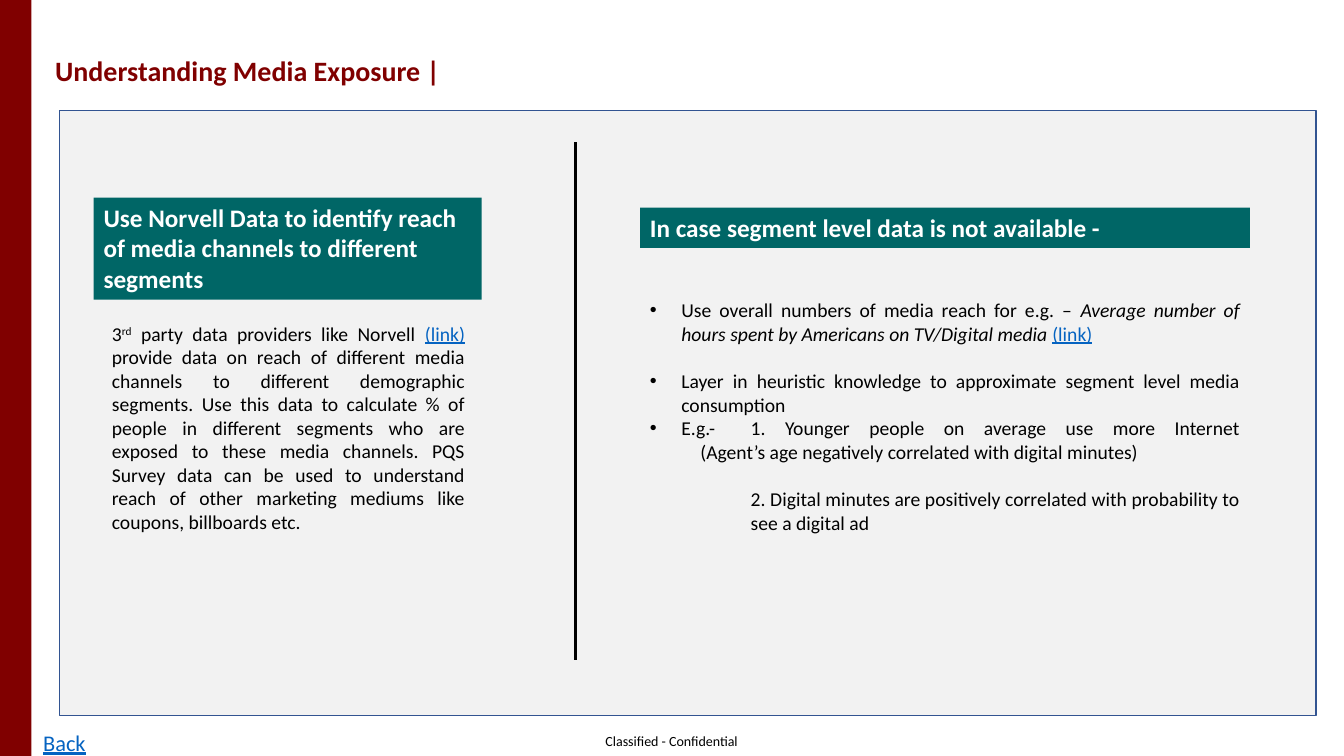
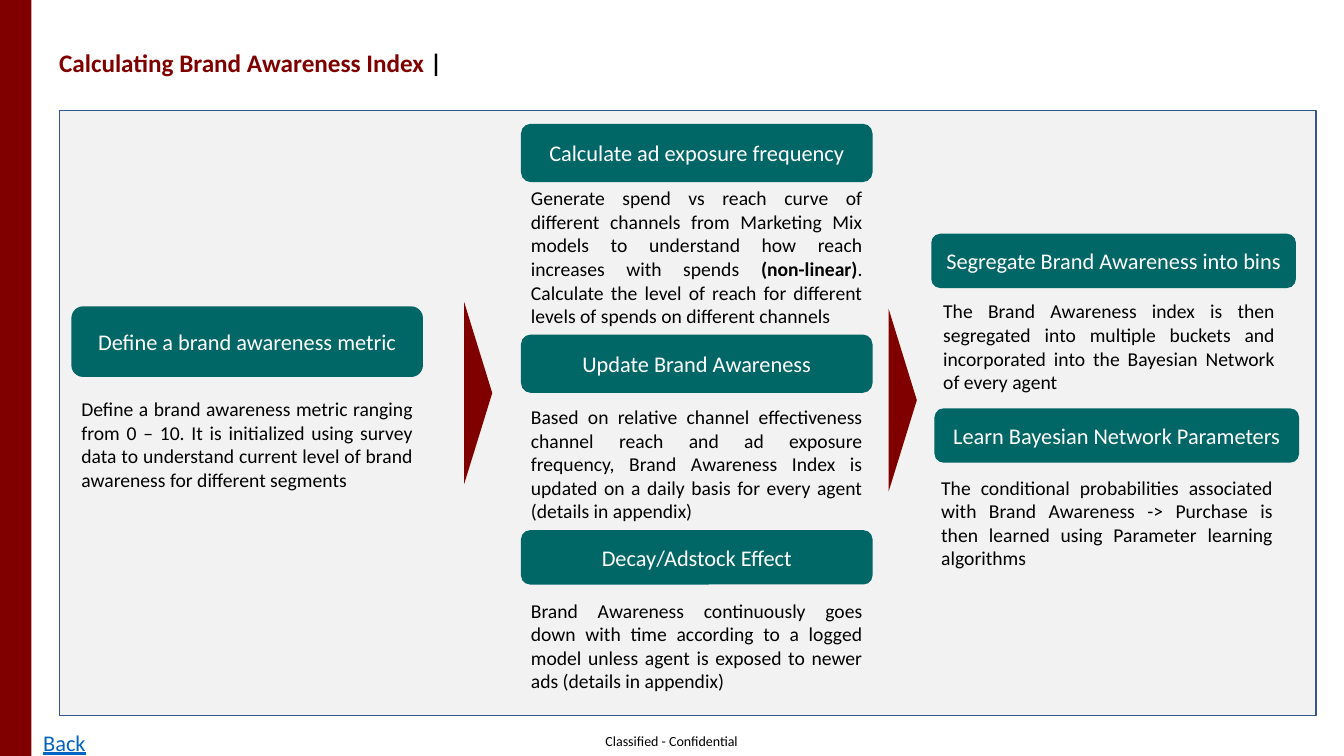
"""Builds two slides on media exposure and brand awareness."""
from typing import NamedTuple

from lxml.etree import SubElement as Sub
from pptx import Presentation
from pptx.dml.color import RGBColor
from pptx.enum.shapes import MSO_CONNECTOR as Link, MSO_SHAPE as Form
from pptx.enum.text import MSO_ANCHOR as Anchor, PP_ALIGN as Align
from pptx.oxml.ns import qn
from pptx.slide import Slide
from pptx.util import Cm, Pt

FONT = "Calibri"
MAROON = RGBColor(0x80, 0x00, 0x00)
TEAL = RGBColor(0x00, 0x66, 0x66)
GREY = RGBColor(0xF2, 0xF2, 0xF2)
EDGE = RGBColor(0x32, 0x54, 0x91)
BLUE = RGBColor(0x05, 0x63, 0xC1)
BLACK = RGBColor(0x00, 0x00, 0x00)
WHITE = RGBColor(0xFF, 0xFF, 0xFF)
BREAK = "\n"


class Box(NamedTuple):
    left: float
    top: float
    width: float
    height: float


class Span(NamedTuple):
    text: str
    bold: bool = False
    slant: bool = False
    link: bool = False
    raised: bool = False
    color: RGBColor | None = None


class Para(NamedTuple):
    spans: list[Span]
    size: float = 14
    color: RGBColor = BLACK
    bold: bool = False
    align: Align = Align.JUSTIFY
    dot: bool = False
    indent: float = 0
    before: float = 0


class Card(NamedTuple):
    head: str
    bar: Box
    spans: list[Span]
    body: Box


PANEL = Box(1.5, 2.78, 31.67, 15.25)
MID, WIDE = 13.13, 8.86
HANG, DEEP, GAP = 0.79, 2.54, 17

LEFT_BODY = [
    Span("3"), Span("rd", raised=True),
    Span(" party data providers like Norvell "), Span("(link)", link=True),
    Span(" provide data on reach of different media channels to different "
         "demographic segments. Use this data to calculate % of people in "
         "different segments who are exposed to these media channels. PQS "
         "Survey data can be used to understand reach of other marketing "
         "mediums like coupons, billboards etc."),
]
POINTS = [
    Para([Span("Use overall numbers of media reach for e.g. – "),
          Span("Average number of hours spent by Americans on TV/Digital "
               "media ", slant=True),
          Span("(link)", link=True)], dot=True),
    Para([Span("Layer in heuristic knowledge to approximate segment level "
               "media consumption")], dot=True, before=GAP),
    Para([Span("E.g.-\t1. Younger people on average use more Internet"),
          Span(BREAK),
          Span("\t(Agent’s age negatively correlated with digital minutes)")],
         dot=True),
    Para([Span("2. Digital minutes are positively correlated with "
               "probability to see a digital ad")],
         indent=DEEP, before=GAP),
]
CARDS = [
    Card("Define a brand awareness metric", Box(1.8, 7.72, WIDE, 1.78),
         [Span("Define a brand awareness metric ranging from 0 – 10. It is "
               "initialized using survey data to understand current level of "
               "brand awareness for different segments")],
         Box(1.8, 9.88, WIDE, 2.64)),
    Card("Calculate ad exposure frequency", Box(MID, 3.12, WIDE, 1.47),
         [Span("Generate spend vs reach curve of different channels from "
               "Marketing Mix models to understand how reach increases with "
               "spends "),
          Span("(non-linear)", bold=True),
          Span(". Calculate the level of reach for different levels of "
               "spends on different channels")],
         Box(MID, 4.57, WIDE, 3.83)),
    Card("Update Brand Awareness", Box(MID, 8.43, WIDE, 1.47),
         [Span("Based on relative channel effectiveness channel reach and ad "
               "exposure frequency, Brand Awareness Index is updated on a "
               "daily basis for every agent (details in appendix)")],
         Box(MID, 10.08, WIDE, 3.25)),
    Card("Decay/Adstock Effect", Box(MID, 13.36, WIDE, 1.37),
         [Span("Brand Awareness continuously goes down with time according "
               "to a logged model unless agent is exposed to newer ads "
               "(details in appendix)")],
         Box(MID, 14.96, WIDE, 2.64)),
    Card("Segregate Brand Awareness into bins", Box(23.47, 5.89, 9.19, 1.37),
         [Span("The Brand Awareness index is then segregated into multiple "
               "buckets and incorporated into the Bayesian Network of every "
               "agent")],
         Box(23.52, 7.42, WIDE, 2.64)),
    Card("Learn Bayesian Network Parameters", Box(23.55, 10.29, 9.19, 1.37),
         [Span("The conditional probabilities associated with Brand "
               "Awareness -> Purchase is then learned using Parameter "
               "learning algorithms")],
         Box(23.47, 11.86, WIDE, 2.64)),
]
WEDGES = [Box(9.75, 9.55, 4.6, 0.71), Box(20.45, 9.73, 4.6, 0.71)]


def place(box: Box) -> list[Cm]:
    return [Cm(side) for side in box]


def write(frame, paras: list[Para], anchor: Anchor = Anchor.TOP) -> None:
    frame.word_wrap = True
    frame.vertical_anchor = anchor
    for spot, para in enumerate(paras):
        line = frame.add_paragraph() if spot else frame.paragraphs[0]
        line.alignment = para.align
        if para.before:
            line.space_before = Pt(para.before)
        props = line._p.get_or_add_pPr()
        if para.dot:
            props.set("marL", str(Cm(HANG)))
            props.set("indent", str(-Cm(HANG)))
            Sub(props, qn("a:buFont"), typeface="Arial")
            Sub(props, qn("a:buChar"), char="•")
        elif para.indent:
            props.set("marL", str(Cm(para.indent)))
        font = line.font
        font.name, font.size, font.bold = FONT, Pt(para.size), para.bold
        font.color.rgb = para.color
        for span in para.spans:
            if span.text == BREAK:
                line.add_line_break()
                continue
            run = line.add_run()
            run.text = span.text
            if span.bold:
                run.font.bold = True
            if span.slant:
                run.font.italic = True
            if span.link:
                run.font.underline = True
            if span.raised:
                run._r.get_or_add_rPr().set("baseline", "30000")
            tint = BLUE if span.link else span.color
            if tint is not None:
                run.font.color.rgb = tint


def add_text(slide: Slide, box: Box, paras: list[Para]):
    frame = slide.shapes.add_textbox(*place(box)).text_frame
    write(frame, paras)
    return frame


def add_form(slide: Slide, form: Form, box: Box, fill: RGBColor,
             edge: RGBColor | None = None):
    shape = slide.shapes.add_shape(form, *place(box))
    shape.shadow.inherit = False
    shape.fill.solid()
    shape.fill.fore_color.rgb = fill
    if edge is None:
        shape.line.fill.background()
    else:
        shape.line.color.rgb = edge
        shape.line.width = Pt(1)
    return shape


def add_frame(deck, box: Box, size: float, title: list[Span]) -> Slide:
    slide = deck.slides.add_slide(deck.slide_layouts[6])
    foot = add_text(slide, Box(14.83, 18.31, 4.19, 0.74),
                    [Para([Span("Classified - Confidential")], 10,
                          align=Align.CENTER)])
    foot.margin_left = foot.margin_right = 0
    foot.margin_top = foot.margin_bottom = 0
    foot.vertical_anchor = Anchor.MIDDLE
    add_form(slide, Form.RECTANGLE, Box(0, 0, 0.79, 19.05), MAROON)
    add_text(slide, box, [Para(title, size, MAROON, True, Align.LEFT)])
    add_form(slide, Form.RECTANGLE, PANEL, GREY, EDGE)
    add_text(slide, Box(0.84, 18.24, 1.78, 0.94),
             [Para([Span("Back", link=True)], 16, align=Align.LEFT)])
    return slide


def add_head(slide: Slide, box: Box, text: str) -> None:
    bar = add_form(slide, Form.RECTANGLE, box, TEAL)
    write(bar.text_frame,
          [Para([Span(text)], 18, WHITE, True, Align.LEFT)])


def add_card(slide: Slide, card: Card) -> None:
    bar = add_form(slide, Form.ROUNDED_RECTANGLE, card.bar, TEAL)
    write(bar.text_frame,
          [Para([Span(card.head)], 16, WHITE, align=Align.CENTER)],
          Anchor.MIDDLE)
    add_text(slide, card.body, [Para(card.spans)])


def add_rule(slide: Slide, left: float, top: float, end: float) -> None:
    rule = slide.shapes.add_connector(
        Link.STRAIGHT, Cm(left), Cm(top), Cm(left), Cm(end))
    rule.line.color.rgb = BLACK
    rule.line.width = Pt(2.25)
    Sub(rule._element.spPr, qn("a:effectLst"))


def build_reach(deck) -> None:
    slide = add_frame(deck, Box(1.14, 1.22, 11.68, 1.12), 20,
                      [Span("Understanding Media Exposure |")])
    add_head(slide, Box(2.36, 4.98, 9.78, 2.57),
             "Use Norvell Data to identify reach of media channels to "
             "different segments")
    add_text(slide, Box(2.57, 7.98, 9.4, 5.64), [Para(LEFT_BODY)])
    add_rule(slide, 14.5, 3.58, 16.64)
    add_head(slide, Box(16.13, 5.23, 15.37, 1.02),
             "In case segment level data is not available -")
    add_text(slide, Box(16.13, 7.39, 15.37, 6.25), POINTS)


def build_index(deck) -> None:
    slide = add_frame(deck, Box(1.24, 1.07, 11.68, 1.02), 18,
                      [Span("Calculating Brand Awareness Index "),
                       Span("|", color=BLACK)])
    for card in CARDS:
        add_card(slide, card)
    for box in WEDGES:
        add_form(slide, Form.ISOSCELES_TRIANGLE, box, MAROON).rotation = 90


def main() -> None:
    deck = Presentation()
    deck.slide_width, deck.slide_height = Cm(33.87), Cm(19.05)
    build_reach(deck)
    build_index(deck)
    deck.save("out.pptx")


if __name__ == "__main__":
    main()
